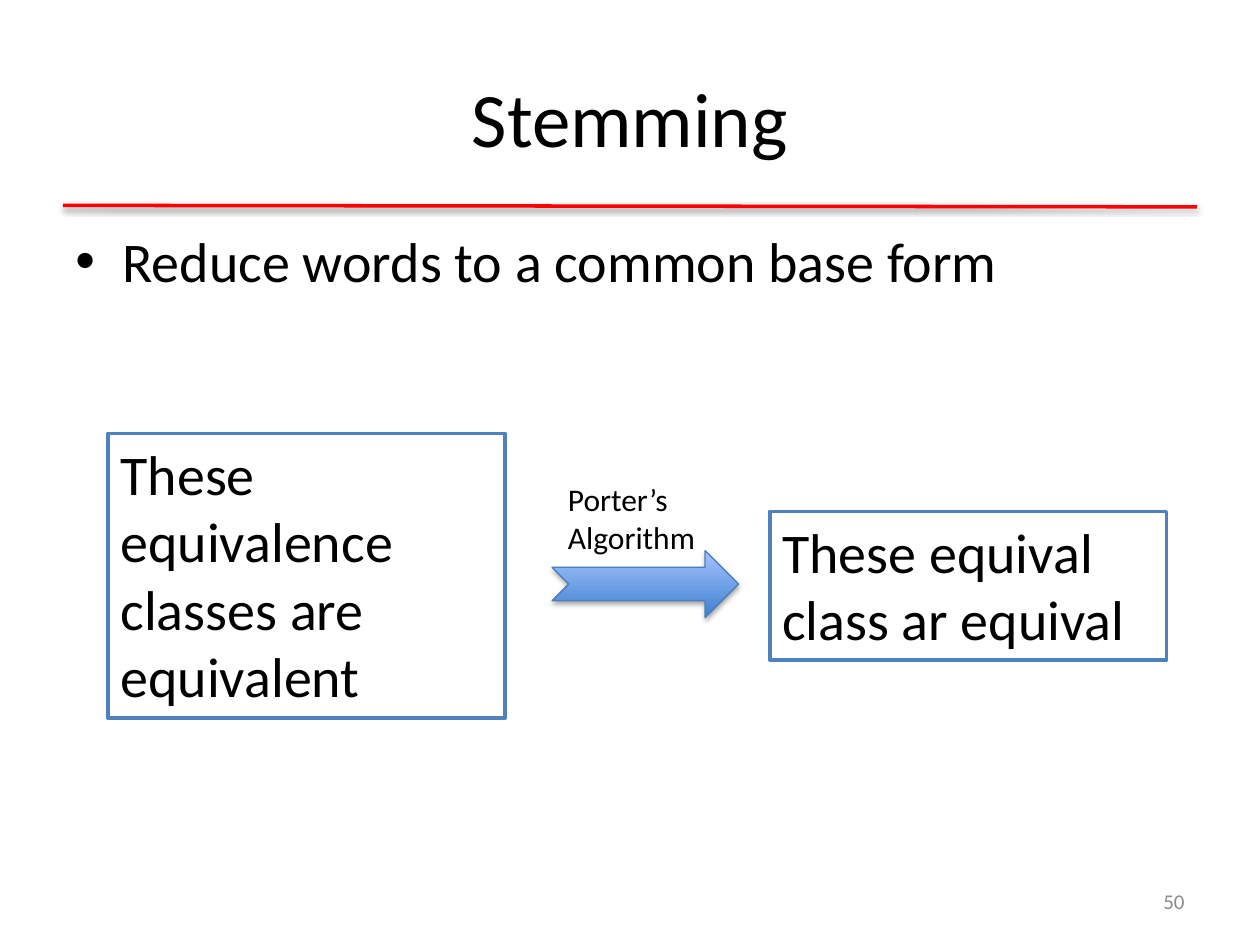
import pptx
import pptx.util
import pptx.dml.color
import pptx.enum.shapes
import pptx.enum.text
import pptx.oxml
import pptx.oxml.ns

Cm, Pt = pptx.util.Cm, pptx.util.Pt
SHAPE = pptx.enum.shapes.MSO_SHAPE
ALIGN = pptx.enum.text.PP_ALIGN
ANCHOR = pptx.enum.text.MSO_ANCHOR
FIT = pptx.enum.text.MSO_AUTO_SIZE

COLORS = {
    "text": "000000", "number": "8C8C8C", "rule": "FF0000",
    "box": "FFFFFF", "border": "4F81BD", "arrow_line": "4B7EBC",
    "arrow_dark": "3F80CE", "arrow_light": "A4C4FF",
}


def rgb(name):
    return pptx.dml.color.RGBColor.from_string(COLORS[name])


def add_shadow(shape, alpha, blur, dist):
    """Drop a black shadow straight down; alpha in percent, lengths in points."""
    shape._element.spPr.append(pptx.oxml.parse_xml(
        f'<a:effectLst {pptx.oxml.ns.nsdecls("a")}>'
        f'<a:outerShdw blurRad="{Pt(blur)}" dist="{Pt(dist)}" dir="5400000" rotWithShape="0">'
        f'<a:srgbClr val="000000"><a:alpha val="{alpha * 1000}"/></a:srgbClr>'
        '</a:outerShdw></a:effectLst>'))


def write(sp, lines, size, color="text", align=ALIGN.LEFT, anchor=ANCHOR.TOP,
          wrap=True, fit=FIT.NONE):
    tf = sp.text_frame
    tf.word_wrap = wrap
    tf.auto_size = fit
    tf.vertical_anchor = anchor
    for i, line in enumerate(lines):
        p = tf.paragraphs[0] if i == 0 else tf.add_paragraph()
        p.alignment = align
        r = p.add_run()
        r.text = line
        r.font.name = "Calibri"
        r.font.size = Pt(size)
        r.font.color.rgb = rgb(color)
    return tf


def add_text(slide, x, y, w, h, lines, size, **style):
    sp = slide.shapes.add_textbox(Cm(x), Cm(y), Cm(w), Cm(h))
    return write(sp, lines, size, **style)


def add_header(slide, x, y, w, h, title):
    # Red rule, slightly tilted, below the title
    rule = slide.shapes.add_connector(
        pptx.enum.shapes.MSO_CONNECTOR.STRAIGHT,
        Cm(x), Cm(y + h + 0.2), Cm(x + w), Cm(y + h + 0.23))
    rule.line.color.rgb = rgb("rule")
    rule.line.width = Pt(2)
    add_shadow(rule, 38, 3.1, 1.6)
    add_text(slide, x, y, w, h, [title], 44, align=ALIGN.CENTER, anchor=ANCHOR.MIDDLE)


def add_bullets(slide, x, y, w, h, items):
    tf = add_text(slide, x, y, w, h, items, 32)
    for p in tf.paragraphs:
        pPr = p._p.get_or_add_pPr()
        pPr.set("marL", str(Cm(0.95)))
        pPr.set("indent", str(-Cm(0.95)))
        pPr.append(pptx.oxml.parse_xml(
            f'<a:buFont {pptx.oxml.ns.nsdecls("a")} typeface="Arial"/>'))
        pPr.append(pptx.oxml.parse_xml(
            f'<a:buChar {pptx.oxml.ns.nsdecls("a")} char="•"/>'))


def add_box(slide, x, y, w, h, text):
    sp = slide.shapes.add_shape(SHAPE.RECTANGLE, Cm(x), Cm(y), Cm(w), Cm(h))
    sp.shadow.inherit = False
    sp.fill.solid()
    sp.fill.fore_color.rgb = rgb("box")
    sp.line.color.rgb = rgb("border")
    sp.line.width = Pt(2)
    write(sp, [text], 32, fit=FIT.SHAPE_TO_FIT_TEXT)


def add_arrow(slide, x, y, w, h):
    sp = slide.shapes.add_shape(SHAPE.NOTCHED_RIGHT_ARROW, Cm(x), Cm(y), Cm(w), Cm(h))
    sp.fill.gradient()
    sp.fill.gradient_angle = 90
    for stop, position, name in zip(sp.fill.gradient_stops, (0, 1),
                                    ("arrow_dark", "arrow_light")):
        stop.position = position
        stop.color.rgb = rgb(name)
    sp.line.color.rgb = rgb("arrow_line")
    sp.line.width = Pt(0.75)
    add_shadow(sp, 35, 3.1, 1.8)


def add_example(slide, x, y, w, h):
    """Text before and after stemming, joined by a labelled arrow."""
    box_w, after_h = 8, 3
    add_box(slide, x, y, box_w, h, "These equivalence classes are equivalent")
    add_box(slide, x + w - box_w, y + 1.57, box_w, after_h, "These equival class ar equival")
    add_arrow(slide, x + 8.95, y + 2.36, 3.76, 1.35)
    add_text(slide, x + 9.02, y + 0.81, 3.1, 1.8, ["Porter’s", "Algorithm"], 18,
             wrap=False, fit=FIT.SHAPE_TO_FIT_TEXT)


def main():
    prs = pptx.Presentation()
    prs.slide_width, prs.slide_height = Cm(25.4), Cm(19.05)
    slide = prs.slides.add_slide(prs.slide_layouts[6])
    margin, width = 1.27, 22.86

    add_header(slide, margin, 0.76, width, 3.18, "Stemming")
    add_bullets(slide, margin, 4.45, width, 12.57, ["Reduce words to a common base form"])
    add_example(slide, 2.18, 8.74, 21.34, 5.74)
    # Slide number
    add_text(slide, 18.21, 17.65, 5.92, 1.02, ["50"], 12, color="number",
             align=ALIGN.RIGHT, anchor=ANCHOR.MIDDLE)

    prs.save("out.pptx")


if __name__ == "__main__":
    main()
